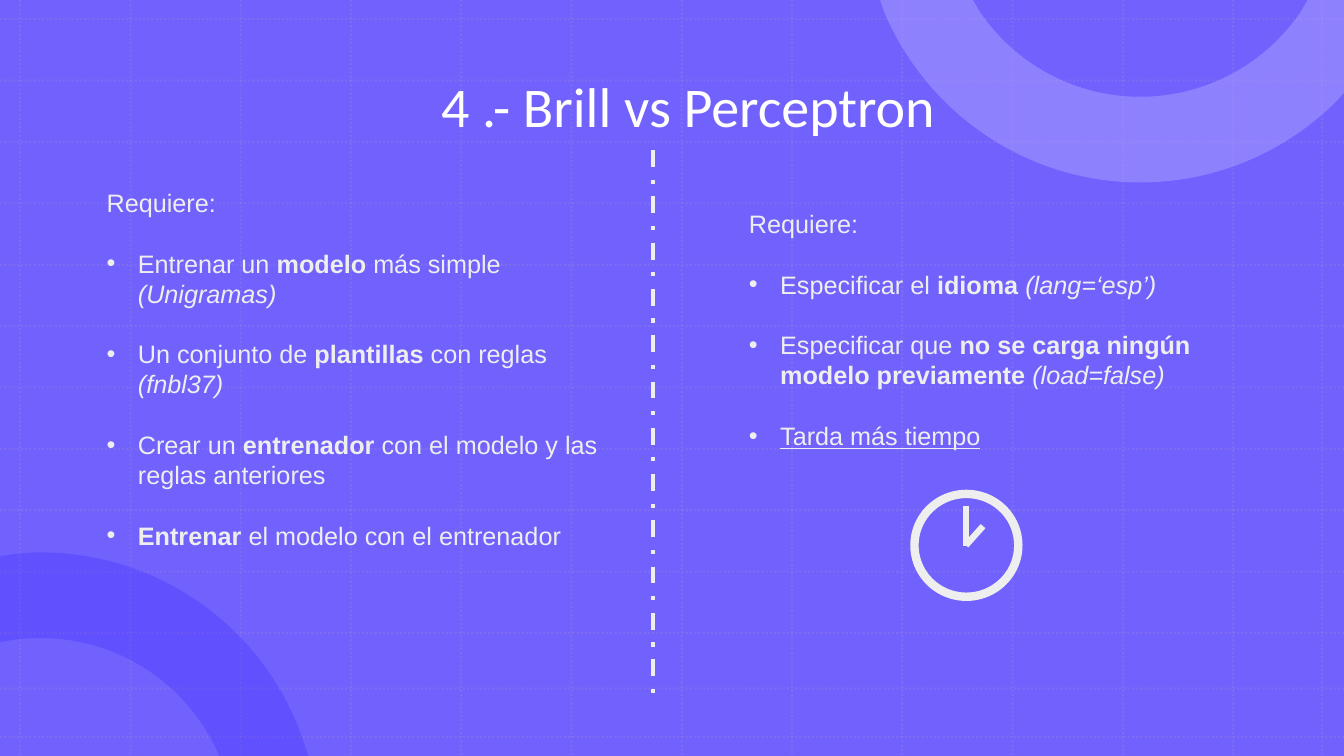
from lxml import etree
from pptx import Presentation
from pptx.dml.color import RGBColor
from pptx.enum.dml import MSO_LINE
from pptx.enum.shapes import MSO_CONNECTOR, MSO_SHAPE
from pptx.enum.text import MSO_ANCHOR, PP_ALIGN
from pptx.oxml.ns import qn
from pptx.util import Inches, Pt

DOTTED, DASH_DOT = MSO_LINE.ROUND_DOT, MSO_LINE.DASH_DOT
STRAIGHT = MSO_CONNECTOR.STRAIGHT
RECTANGLE, ELLIPSE = MSO_SHAPE.RECTANGLE, MSO_SHAPE.OVAL
TOP, MIDDLE = MSO_ANCHOR.TOP, MSO_ANCHOR.MIDDLE
LEFT, CENTER = PP_ALIGN.LEFT, PP_ALIGN.CENTER
WIDTH, HEIGHT = 13.33, 7.5
COLORS = {
    "background": "7162FE",
    "grid": "B495C2",
    "dark_ring": "220BFD",
    "light_ring": "AAA1FE",
    "title": "FFFFFF",
    "body": "EEEEEE",
}


def color(name):
    return RGBColor.from_string(COLORS[name])


def add_run(paragraph, text, *, font="Arial", size=18, ink="body", style=""):
    """Add text to a paragraph; style holds any of b, i and u."""
    run = paragraph.add_run()
    run.text = text
    run.font.name, run.font.size = font, Pt(size)
    run.font.color.rgb = color(ink)
    run.font.bold, run.font.italic = "b" in style, "i" in style
    run.font.underline = "u" in style


def set_opacity(shape, percent):
    for element in shape._element.spPr.iter(qn("a:srgbClr")):
        etree.SubElement(element, qn("a:alpha")).set("val", str(percent * 1000))


def set_bullet(paragraph, indent=0.31):
    properties = paragraph._p.get_or_add_pPr()
    properties.set("marL", str(Inches(indent)))
    properties.set("indent", str(Inches(-indent)))
    etree.SubElement(properties, qn("a:buFont")).set("typeface", "Arial")
    etree.SubElement(properties, qn("a:buChar")).set("char", "•")


def bend_segments(shape, steps):
    """Turn each straight segment with a six-number step into a Bézier curve."""
    segments = list(shape._element.spPr.iter(qn("a:lnTo")))
    for segment, step in zip(segments, steps):
        if len(step) == 2:
            continue
        segment.clear()
        curve = etree.Element(qn("a:cubicBezTo"))
        for x, y in zip(step[::2], step[1::2]):
            point = etree.SubElement(curve, qn("a:pt"))
            point.set("x", str(Inches(x) - shape.left))
            point.set("y", str(Inches(y) - shape.top))
        segment.getparent().replace(segment, curve)


class SlideBuilder:
    def __init__(self, slide):
        self.shapes = slide.shapes

    def line(self, start, end, ink="body", width=3, dash=None, opacity=None):
        connector = self.shapes.add_connector(STRAIGHT, *map(Inches, start + end))
        connector.line.color.rgb = color(ink)
        connector.line.width = Pt(width)
        if dash:
            connector.line.dash_style = dash
        if opacity:
            set_opacity(connector, opacity)
        etree.SubElement(connector._element.spPr, qn("a:effectLst"))

    def ring(self, start, steps, ink, opacity):
        """Draw an outline of line ends (2 numbers) and Bézier steps (6 numbers)."""
        builder = self.shapes.build_freeform(*map(Inches, start), scale=1.0)
        builder.add_line_segments(
            [(Inches(step[-2]), Inches(step[-1])) for step in steps], close=True)
        shape = builder.convert_to_shape()
        bend_segments(shape, steps)
        shape.shadow.inherit = False
        shape.fill.solid()
        shape.fill.fore_color.rgb = color(ink)
        set_opacity(shape, opacity)
        shape.line.fill.background()

    def rectangle(self, box, ink):
        shape = self.shapes.add_shape(RECTANGLE, *map(Inches, box))
        shape.shadow.inherit = False
        shape.fill.solid()
        shape.fill.fore_color.rgb = color(ink)
        shape.line.fill.background()

    def circle(self, box, width):
        shape = self.shapes.add_shape(ELLIPSE, *map(Inches, box))
        shape.shadow.inherit = False
        shape.fill.background()
        shape.line.color.rgb = color("body")
        shape.line.width = Pt(width)

    def text_frame(self, box, anchor=TOP):
        frame = self.shapes.add_textbox(*map(Inches, box)).text_frame
        frame.word_wrap = True
        frame.vertical_anchor = anchor
        return frame

    def title(self, box, text):
        paragraph = self.text_frame(box, MIDDLE).paragraphs[0]
        paragraph.alignment = CENTER
        paragraph.line_spacing = 0.9
        add_run(paragraph, text, font="Calibri", size=40, ink="title")

    def requirements(self, box, items, line_height=21.6):
        frame = self.text_frame(box)
        heading = frame.paragraphs[0]
        heading.alignment = LEFT
        heading.line_spacing = Pt(line_height)
        add_run(heading, "Requiere:")
        for item in items:
            paragraph = frame.add_paragraph()
            paragraph.alignment = LEFT
            paragraph.line_spacing = Pt(line_height)
            paragraph.space_before = Pt(line_height)
            set_bullet(paragraph)
            for text, style in item:
                add_run(paragraph, text, style=style)


def main():
    presentation = Presentation()
    presentation.slide_width, presentation.slide_height = Inches(WIDTH), Inches(HEIGHT)
    builder = SlideBuilder(presentation.slides.add_slide(presentation.slide_layouts[6]))

    # Background and grid: even steps, with narrower last ones
    builder.rectangle((0, 0, WIDTH, HEIGHT), "background")
    grid = {"ink": "grid", "width": 1.5, "dash": DOTTED, "opacity": 20}
    for x in [0.2 + 12.03 / 11 * column for column in range(12)] + [13.11]:
        builder.line((x, 0), (x, HEIGHT), **grid)
    for y in [0.19 + 6.09 / 10 * row for row in range(11)] + [6.83, 7.31]:
        builder.line((0, y), (WIDTH, y), **grid)

    # Corner rings
    builder.ring((0.4, 5.48), [
        (1.64, 5.48, 2.69, 6.3, 3.03, 7.42), (3.06, 7.5), (2.17, 7.5), (2.17, 7.49),
        (1.88, 6.81, 1.2, 6.33, 0.4, 6.33), (0.27, 6.33, 0.14, 6.34, 0.02, 6.37),
        (-0.01, 6.37), (-0.01, 5.52), (0.12, 5.5), (0.21, 5.49, 0.31, 5.48, 0.4, 5.48),
    ], "dark_ring", 20)
    builder.ring((8.73, 0), [
        (9.65, 0), (9.72, 0.12), (10.07, 0.63, 10.65, 0.96, 11.31, 0.96),
        (11.97, 0.96, 12.55, 0.63, 12.9, 0.12), (12.97, 0), (13.33, 0),
        (13.33, 0.92), (13.26, 1), (12.76, 1.5, 12.07, 1.81, 11.31, 1.81),
        (10.17, 1.81, 9.19, 1.11, 8.77, 0.12),
    ], "light_ring", 50)

    # Title and divider
    builder.title((0.96, 0.36, 11.73, 1.45), "4 .- Brill vs Perceptron")
    builder.line((6.48, 1.49), (6.48, 6.97), dash=DASH_DOT)

    # Brill and Perceptron requirements
    builder.requirements((0.96, 1.81, 5.14, 3.74), [
        [("Entrenar un ", ""), ("modelo", "b"), (" más simple ", ""), ("(Unigramas)", "i")],
        [("Un conjunto de ", ""), ("plantillas", "b"), (" con reglas ", ""), ("(fnbl37)", "i")],
        [("Crear un ", ""), ("entrenador", "b"),
         (" con el modelo y las reglas anteriores", "")],
        [("Entrenar", "b"), (" el modelo con el entrenador", "")],
    ])
    builder.requirements((7.33, 2.02, 4.81, 2.52), [
        [("Especificar el ", ""), ("idioma ", "b"), ("(lang=‘esp’)", "i")],
        [("Especificar que ", ""), ("no se carga ningún modelo previamente ", "b"),
         ("(load=false)", "i")],
        [("Tarda más tiempo", "u")],
    ])

    # Clock
    builder.circle((9.07, 4.9, 1.03, 1.02), 6)
    builder.line((9.58, 5.02), (9.58, 5.42), width=4.5)
    builder.line((9.75, 5.22), (9.58, 5.41), width=4.5)

    presentation.save("out.pptx")


if __name__ == "__main__":
    main()
